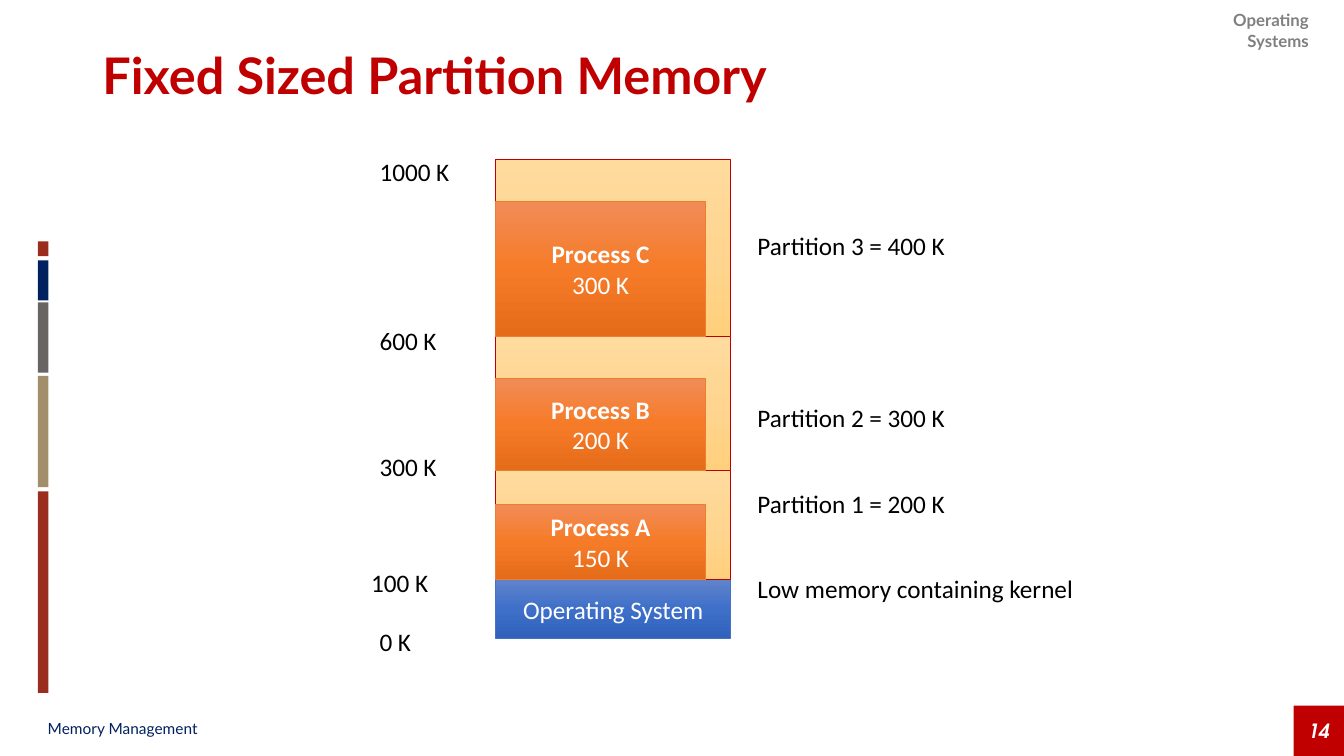
from copy import deepcopy

from pptx import Presentation
from pptx.dml.color import RGBColor
from pptx.enum.shapes import MSO_SHAPE
from pptx.enum.text import MSO_ANCHOR, MSO_AUTO_SIZE, PP_ALIGN
from pptx.oxml.ns import qn
from pptx.util import Pt

PX = 9525
RECT = MSO_SHAPE.RECTANGLE
TOP, MID = MSO_ANCHOR.TOP, MSO_ANCHOR.MIDDLE
LEFT, CENTER, RIGHT = PP_ALIGN.LEFT, PP_ALIGN.CENTER, PP_ALIGN.RIGHT
NO_FIT = MSO_AUTO_SIZE.NONE

RED = RGBColor(0xC0, 0x00, 0x00)
RUST = RGBColor(0x9B, 0x2D, 0x1F)
TAN = RGBColor(0xA2, 0x8E, 0x6A)
SLATE = RGBColor(0x69, 0x64, 0x64)
NAVY = RGBColor(0x00, 0x20, 0x60)
GRAY = RGBColor(0x80, 0x80, 0x80)
BLACK = RGBColor(0x00, 0x00, 0x00)
WHITE = RGBColor(0xFF, 0xFF, 0xFF)
ORANGE = RGBColor(0xED, 0x7D, 0x31)
BLUE = RGBColor(0x44, 0x72, 0xC4)
SAND_FADE = (RGBColor(0xFF, 0xDB, 0x9E), RGBColor(0xFF, 0xD5, 0x90),
             RGBColor(0xFF, 0xD0, 0x7C))
ORANGE_FADE = (RGBColor(0xF1, 0x8C, 0x57), RGBColor(0xF6, 0x7B, 0x28),
               RGBColor(0xE5, 0x6C, 0x19))
BLUE_FADE = (RGBColor(0x61, 0x83, 0xCB), RGBColor(0x3E, 0x70, 0xCA),
             RGBColor(0x30, 0x62, 0xBB))


def scale(*box):
    return [n * PX for n in box]


def write(para, text, size, color, face="Calibri", bold=False, italic=False,
          align=LEFT):
    para.alignment = align
    run = para.add_run()
    run.text = text
    font = run.font
    font.name, font.size, font.bold, font.italic = face, Pt(size), bold, italic
    font.color.rgb = color


def add_label(slide, box, text, size, color, anchor=TOP, **style):
    frame = slide.shapes.add_textbox(*scale(*box)).text_frame
    frame.word_wrap = True
    frame.vertical_anchor = anchor
    write(frame.paragraphs[0], text, size, color, **style)
    return frame


def add_block(slide, box, color):
    block = slide.shapes.add_shape(RECT, *scale(*box))
    block.shadow.inherit = False
    block.fill.solid()
    block.fill.fore_color.rgb = color
    block.line.fill.background()
    return block


def add_fade(slide, box, fade, edge, lines=()):
    """Add a block with a top-to-bottom gradient; the first of two lines is bold."""
    block = add_block(slide, box, edge)
    block.line.color.rgb = edge
    block.line.width = Pt(0.5)
    block.fill.gradient()
    block.fill.gradient_angle = 270
    stops = block._element.spPr.find(".//" + qn("a:gsLst"))
    stops.insert(1, deepcopy(stops[0]))
    for i, (stop, color) in enumerate(zip(block.fill.gradient_stops, fade)):
        stop.position = i / 2
        stop.color.rgb = color
    frame = block.text_frame
    frame.word_wrap = False
    frame.vertical_anchor = MID
    for i, text in enumerate(lines):
        para = frame.add_paragraph() if i else frame.paragraphs[0]
        write(para, text, 18, WHITE, bold=len(lines) > 1 and i == 0, align=CENTER)


def add_title(slide, box, text):
    title = slide.shapes.title
    title.left, title.top, title.width, title.height = scale(*box)
    frame = title.text_frame
    frame.auto_size = NO_FIT
    frame.vertical_anchor = MID
    para = frame.paragraphs[0]
    para.line_spacing = 0.9
    write(para, text, 36, RED, "Lato", bold=True)


def add_stripe(slide, x, y, w):
    bars = [(0, 14, RUST), (18, 38, NAVY), (58, 67, SLATE),
            (128, 106, TAN), (238, 192, RUST)]
    for top, h, color in bars:
        add_block(slide, (x, y + top, w, h), color)


def add_frame(slide, w, h):
    """Add the course name, footer and page number at the slide's edges."""
    add_label(slide, (w - 171, 5, 147, 29), "Operating Systems", 12, GRAY,
              face="Lato", bold=True, align=RIGHT)
    add_label(slide, (36, h - 42, 422, 32), "Memory Management", 11, NAVY, MID,
              face="Lato")
    page = add_block(slide, (w - 48, h - 48, 48, 48), RED).text_frame
    page.vertical_anchor = MID
    write(page.paragraphs[0], "14", 14, WHITE, "TeX Gyre Adventor", True, True,
          CENTER)


def add_memory(slide, x, y, w):
    """Add the kernel, the partitions and the processes inside them."""
    add_fade(slide, (x, y + 400, w, 56), BLUE_FADE, BLUE, ["Operating System"])
    parts = [(0, 168, 40, "Process C", "300 K"),
             (168, 128, 40, "Process B", "200 K"),
             (296, 104, 32, "Process A", "150 K")]
    for top, h, *_ in parts:
        add_fade(slide, (x, y + top, w, h), SAND_FADE, RED)
    for top, h, free, *lines in parts:
        add_fade(slide, (x, y + top + free, w - 24, h - free),
                 ORANGE_FADE, ORANGE, lines)


def add_marks(slide, x, y):
    marks = [(0, 0, "1000 K"), (0, 161, "600 K"), (0, 281, "300 K"),
             (-8, 392, "100 K"), (0, 448, "0 K")]
    for dx, dy, text in marks:
        add_label(slide, (x + dx, y + dy, 120, 38), text, 18, BLACK)


def add_notes(slide, box):
    frame = add_label(slide, box, "Partition 3 = 400 K", 18, BLACK)
    for gap, text in [(101, "Partition 2 = 300 K"), (39.5, "Partition 1 = 200 K"),
                      (39.5, "Low memory containing kernel")]:
        para = frame.add_paragraph()
        para.space_before = Pt(gap)
        write(para, text, 18, BLACK)


def main():
    deck = Presentation()
    deck.slide_width, deck.slide_height = scale(1280, 720)
    slide = deck.slides.add_slide(deck.slide_layouts[5])
    add_frame(slide, 1280, 720)
    add_stripe(slide, 36, 230, 10)
    add_title(slide, (88, 5, 1104, 139), "Fixed Sized Partition Memory")
    add_memory(slide, 472, 152, 224)
    add_marks(slide, 352, 144)
    add_notes(slide, (712, 215, 349, 388))
    deck.save("out.pptx")


if __name__ == "__main__":
    main()
